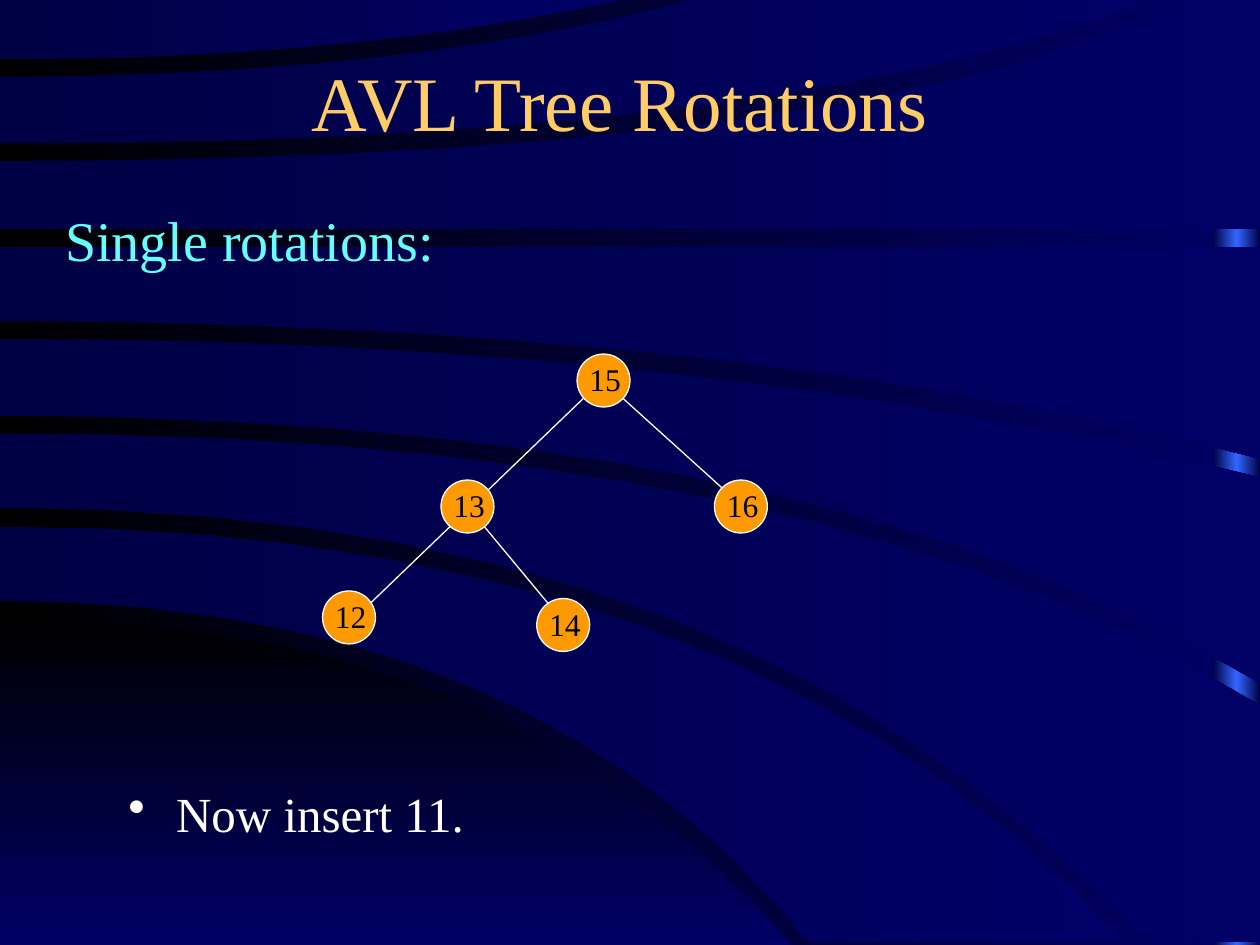
"""Build the AVL tree rotations slide with its curved band backdrop."""
from copy import deepcopy

from lxml.etree import SubElement
from pptx import Presentation
from pptx.dml.color import RGBColor
from pptx.enum.shapes import MSO_CONNECTOR, MSO_SHAPE
from pptx.enum.text import MSO_ANCHOR, PP_ALIGN
from pptx.oxml.ns import qn
from pptx.util import Inches, Pt

FONT = "Times New Roman"
WHITE = "FFFFFF"
BACKDROP = ["000000", "000066"]
BAND = ["000044", "000066"]
EDGE_STRIP = ["000044", "3366FF", "000044"]
NODE_SIZE = 0.42
CURVE_STEPS = 14
TOP, RIGHT, BOTTOM = -0.02, 10, 7.48

DISC = {"upper": (4.91, 4.1, 6.28, 7.5), "lower": (7.5, 3, 6.28, 7.5)}
BANDS = [
    {"upper": (4.18, 5.9, 8.93, BOTTOM), "lower": (4.77, 4.25, 6.42, BOTTOM)},
    {"upper": (3.44, 6.5, RIGHT, 5.6), "lower": (4.03, 6, 9.09, BOTTOM),
     "corner": (RIGHT, BOTTOM)},
    {"upper": (2.69, 5.6, RIGHT, 3.79), "lower": (3.3, 6.45, RIGHT, 5.42)},
    {"upper": (1.96, 5, RIGHT, 1.96), "lower": (2.55, 5.8, RIGHT, 3.64)},
    {"upper": (1.28, 6.95, 9.43, TOP), "lower": (1.82, 5, RIGHT, 1.82),
     "corner": (RIGHT, TOP)},
    {"upper": (0.61, 3.3, 5.56, TOP), "lower": (1.14, 6.35, 9.17, TOP)},
    {"upper": (TOP, 2.5, 5.01, TOP), "lower": (0.47, 2.85, 5.01, TOP)},
]

BRANCHES = [
    ((3.67, 3.97), (4.5, 4.97)),
    ((2.75, 4.97), (4.83, 2.97)),
    ((4.92, 3.14), (5.75, 3.89)),
]
NODES = [
    ("13", 3.5, 3.81), ("15", 4.58, 2.81), ("16", 5.67, 3.81),
    ("12", 2.56, 4.69), ("14", 4.26, 4.75),
]
TITLE = ("AVL Tree Rotations", (0.67, 0.17, 8.5, 1.25), 44, "FFCC66")
HEADING = ("Single rotations:", (0.42, 1.58, 9.33, 0.67), 32, "66FFFF")
INSTRUCTION = ("Now insert 11.", (0.92, 6.17, 5.5, 0.67), 28, WHITE)


def color(value):
    return RGBColor.from_string(value)


def set_gradient(fill, element, colors, angle=0):
    fill.gradient()
    fill.gradient_angle = angle
    stop_list = next(element.iter(qn("a:gsLst")))
    while len(stop_list) < len(colors):
        stop_list.append(deepcopy(stop_list[0]))
    for index, (stop, value) in enumerate(zip(fill.gradient_stops, colors)):
        stop.color.rgb = color(value)
        stop.position = index / (len(colors) - 1)


def style_backdrop(shape, colors, angle=0):
    shape.shadow.inherit = False
    shape.line.fill.background()
    set_gradient(shape.fill, shape._element, colors, angle)


def curve(start_y, bend_x, end_x, end_y):
    """Sample a quadratic curve that leaves the left edge horizontally."""
    steps = [index / CURVE_STEPS for index in range(CURVE_STEPS + 1)]
    return [
        (2 * t * (1 - t) * bend_x + t * t * end_x, start_y + t * t * (end_y - start_y))
        for t in steps
    ]


def add_band(slide, band, colors, angle=0):
    corner = [band["corner"]] if "corner" in band else []
    points = curve(*band["upper"]) + corner + curve(*band["lower"])[::-1]
    outline = [(Inches(x), Inches(y)) for x, y in points]
    builder = slide.shapes.build_freeform(*outline[0], scale=1.0)
    builder.add_line_segments(outline[1:], close=True)
    style_backdrop(builder.convert_to_shape(), colors, angle)


def add_text(slide, text, box, size, text_color, anchor=MSO_ANCHOR.TOP, **paragraph_format):
    frame = slide.shapes.add_textbox(*map(Inches, box)).text_frame
    frame.word_wrap = True
    frame.vertical_anchor = anchor
    paragraph = frame.paragraphs[0]
    for name, value in paragraph_format.items():
        setattr(paragraph, name, value)
    run = paragraph.add_run()
    run.text = text
    for name, value in {"name": FONT, "size": Pt(size)}.items():
        setattr(run.font, name, value)
    run.font.color.rgb = color(text_color)
    return paragraph


def add_bullet(paragraph):
    properties = paragraph._p.get_or_add_pPr()
    properties.set("marL", str(Inches(0.38)))
    properties.set("indent", str(Inches(-0.38)))
    bullet_color = SubElement(properties, qn("a:buClr"))
    SubElement(bullet_color, qn("a:srgbClr"), val=WHITE)
    SubElement(properties, qn("a:buChar"), char="•")


def style_line(line):
    line.color.rgb = color(WHITE)
    line.width = Pt(0.75)


def add_branch(slide, start, end):
    branch = slide.shapes.add_connector(MSO_CONNECTOR.STRAIGHT, *map(Inches, start + end))
    style_line(branch.line)
    SubElement(branch._element.spPr, qn("a:effectLst"))


def add_node(slide, label, left, top):
    box = map(Inches, (left, top, NODE_SIZE, NODE_SIZE))
    node = slide.shapes.add_shape(MSO_SHAPE.OVAL, *box)
    node.shadow.inherit = False
    node.fill.solid()
    node.fill.fore_color.rgb = color("FF9900")
    style_line(node.line)
    add_text(slide, label, (left, top, 0.5, 0.4), 18, "000000", space_before=Pt(11.2))


def main():
    presentation = Presentation()
    presentation.slide_width, presentation.slide_height = Inches(10), Inches(7.5)
    slide = presentation.slides.add_slide(presentation.slide_layouts[6])
    set_gradient(slide.background.fill, slide._element, BACKDROP)
    strip_box = map(Inches, (9.63, 0, 0.37, 7.5))
    style_backdrop(slide.shapes.add_shape(MSO_SHAPE.RECTANGLE, *strip_box), EDGE_STRIP)
    add_band(slide, DISC, BACKDROP, angle=270)
    for band in BANDS:
        add_band(slide, band, BAND)
    for start, end in BRANCHES:
        add_branch(slide, start, end)
    add_text(slide, *TITLE, anchor=MSO_ANCHOR.MIDDLE, alignment=PP_ALIGN.CENTER)
    add_text(slide, *HEADING, space_before=Pt(8))
    for node in NODES:
        add_node(slide, *node)
    add_bullet(add_text(slide, *INSTRUCTION, space_before=Pt(7)))
    presentation.save("out.pptx")


if __name__ == "__main__":
    main()
